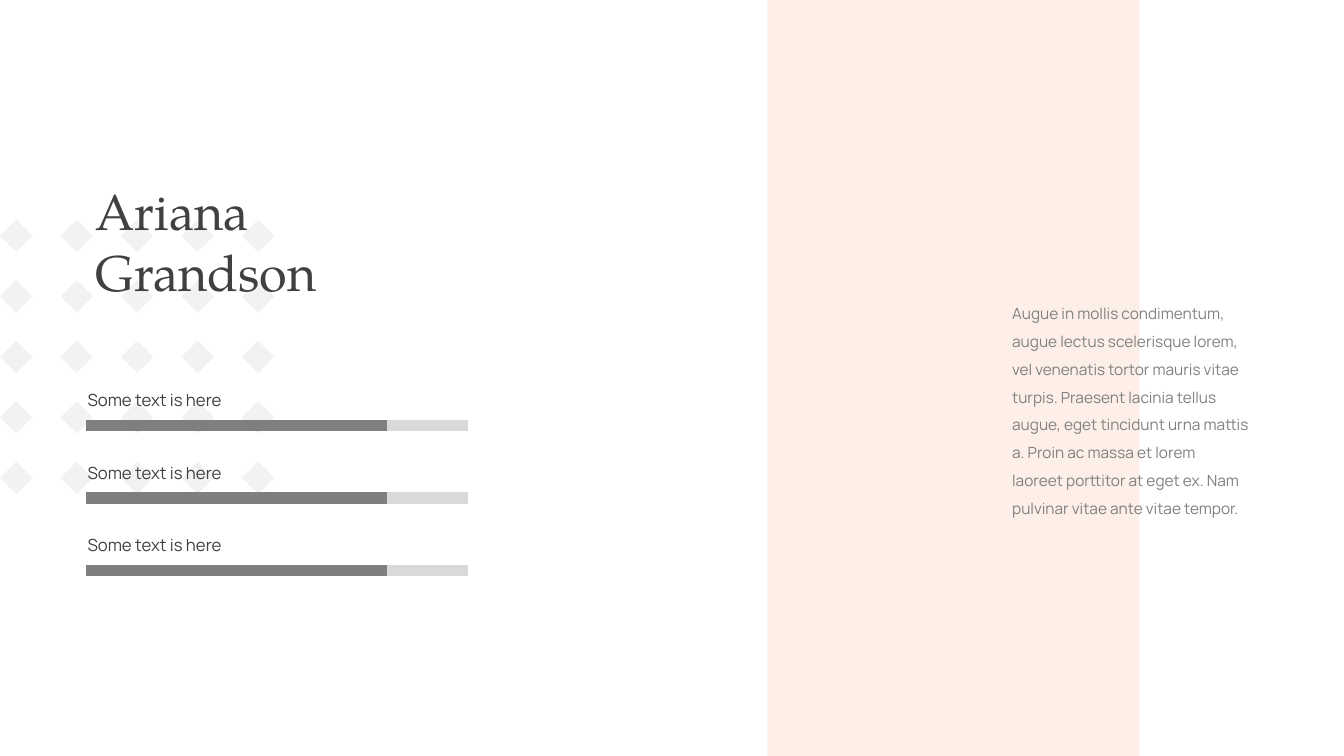
from itertools import product

from lxml import etree
from pptx import Presentation
from pptx.dml.color import RGBColor
from pptx.enum.shapes import MSO_CONNECTOR, MSO_SHAPE
from pptx.enum.text import MSO_AUTO_SIZE
from pptx.oxml.ns import qn
from pptx.util import Inches, Pt

DIAMOND, RECTANGLE = MSO_SHAPE.DIAMOND, MSO_SHAPE.RECTANGLE
STRAIGHT = MSO_CONNECTOR.STRAIGHT
FIT_SHAPE = MSO_AUTO_SIZE.SHAPE_TO_FIT_TEXT


def grid(cells):
    """Convert columns or rows of the grid, a tenth of an inch each."""
    return Inches(cells / 10)


def color(hex_string):
    return RGBColor.from_string(hex_string)


class SlideBuilder:
    heading_font, body_font = "TeX Gyre Pagella", "Manrope"
    ink, muted = "404040", "808080"
    pattern, panel = "F2F2F2", "FDEFE6"
    track, progress = "D9D9D9", "7F7F7F"

    def __init__(self, slide):
        self.slide = slide

    def shape(self, kind, column, row, columns, rows, fill, opacity=100):
        shape = self.slide.shapes.add_shape(
            kind, grid(column), grid(row), grid(columns), grid(rows))
        shape.shadow.inherit = False
        shape.fill.solid()
        shape.fill.fore_color.rgb = color(fill)
        shape.line.fill.background()
        if opacity < 100:
            fill_color = shape.element.spPr.find(".//" + qn("a:srgbClr"))
            etree.SubElement(fill_color, qn("a:alpha"), val=str(opacity * 1000))

    def bar(self, column, row, columns, stroke, weight=8):
        line = self.slide.shapes.add_connector(
            STRAIGHT, grid(column), grid(row), grid(column + columns), grid(row))
        line.line.color.rgb = color(stroke)
        line.line.width = Pt(weight)
        etree.SubElement(line.element.spPr, qn("a:effectLst"))

    def text(self, column, row, columns, rows, words, size, font, ink, spacing=None):
        box = self.slide.shapes.add_textbox(
            grid(column), grid(row), grid(columns), grid(rows))
        frame = box.text_frame
        frame.word_wrap = True
        frame.auto_size = FIT_SHAPE
        paragraph = frame.paragraphs[0]
        paragraph.line_spacing = spacing
        run = paragraph.add_run()
        run.text = words
        run.font.size, run.font.name = Pt(size), font
        run.font.color.rgb = color(ink)


presentation = Presentation()
presentation.slide_width, presentation.slide_height = Inches(13.33), Inches(7.5)
builder = SlideBuilder(presentation.slides.add_slide(presentation.slide_layouts[6]))

# Diamond pattern
for pattern_row, pattern_column in product(range(5), repeat=2):
    builder.shape(DIAMOND, 6 * pattern_column, 21.8 + 6 * pattern_row,
                  3.2, 3.2, builder.pattern)

# Tinted panel
builder.shape(RECTANGLE, 76.1, 0, 36.9, 75, builder.panel, opacity=95)

# Labelled progress bars
for index in range(3):
    label_row = 38.2 + 7.2 * index
    builder.text(7.7, label_row, 27.3, 3, "Some text is here", 12,
                 builder.body_font, builder.ink)
    for length, stroke in ((37.9, builder.track), (29.9, builder.progress)):
        builder.bar(8.5, label_row + 4, length, stroke)

# Name and description
builder.text(8.5, 17.4, 32.3, 13.1, "Ariana Grandson", 36,
             builder.heading_font, builder.ink)
builder.text(
    99.4, 28.8, 25.5, 28.8,
    "Augue in mollis condimentum, augue lectus scelerisque lorem, vel venenatis "
    "tortor mauris vitae turpis. Praesent lacinia tellus augue, eget tincidunt "
    "urna mattis a. Proin ac massa et lorem laoreet porttitor at eget ex. Nam "
    "pulvinar vitae ante vitae tempor.",
    11, builder.body_font, builder.muted, spacing=1.5)

presentation.save("out.pptx")
